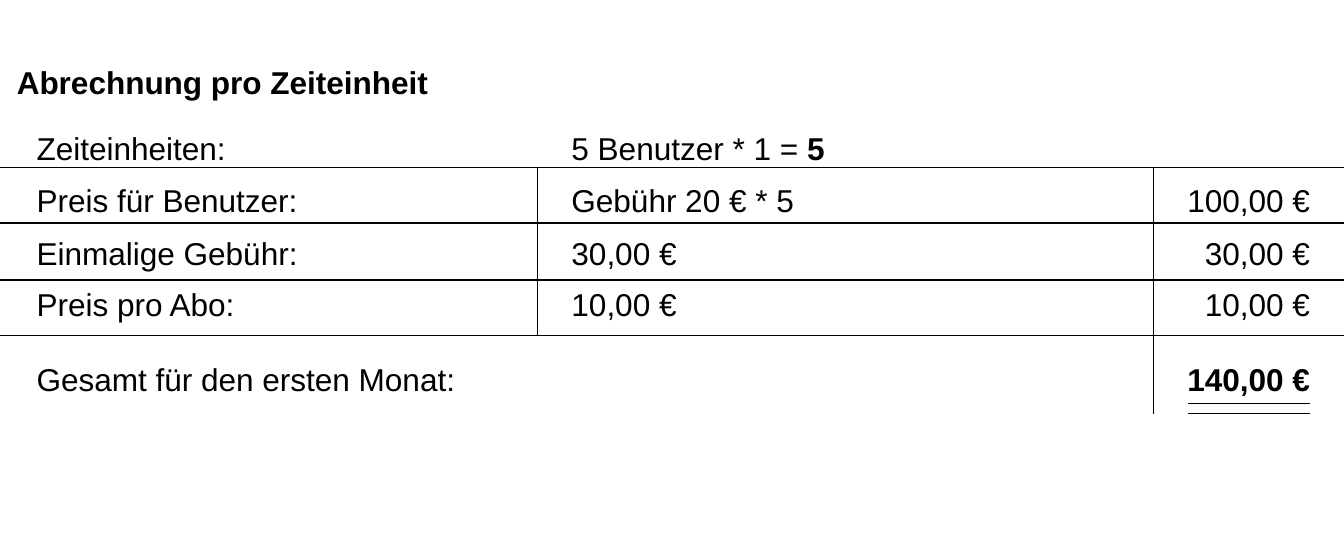
import pptx
import pptx.dml.color
import pptx.enum.shapes
import pptx.enum.text
import pptx.util
from lxml import etree

Inches = pptx.util.Inches
ALIGN = pptx.enum.text.PP_ALIGN
SLIDE_WIDTH, SLIDE_HEIGHT = 9.45, 3.94


def color(hex_value):
    return pptx.dml.color.RGBColor.from_string(hex_value)


class Invoice:
    """Holds the style and the slide that is being filled."""
    font, size, ink = "Arial", pptx.util.Pt(16), "000000"
    line_width = pptx.util.Pt(0.75)

    def __init__(self, slide):
        self.slide = slide

    def text(self, left, top, width, height, runs, align=ALIGN.LEFT, bold=False):
        """Add one line of text; runs are (text, bold) pairs or a plain string."""
        box = self.slide.shapes.add_textbox(
            Inches(left), Inches(top), Inches(width), Inches(height))
        frame = box.text_frame
        frame.word_wrap = True
        frame.vertical_anchor = pptx.enum.text.MSO_ANCHOR.BOTTOM
        paragraph = frame.paragraphs[0]
        paragraph.alignment = align
        font = paragraph.font
        font.name, font.size, font.bold = self.font, self.size, bold
        font.color.rgb = color(self.ink)
        for words, run_bold in [(runs, bold)] if isinstance(runs, str) else runs:
            run = paragraph.add_run()
            run.text = words
            if run_bold != bold:
                run.font.bold = run_bold

    def line(self, x1, y1, x2, y2):
        rule = self.slide.shapes.add_connector(
            pptx.enum.shapes.MSO_CONNECTOR.STRAIGHT,
            Inches(x1), Inches(y1), Inches(x2), Inches(y2))
        rule.line.width = self.line_width
        rule.line.color.rgb = color(self.ink)
        etree.SubElement(rule._element.spPr, pptx.oxml.ns.qn("a:effectLst"))


def main():
    deck = pptx.Presentation()
    deck.slide_width, deck.slide_height = Inches(SLIDE_WIDTH), Inches(SLIDE_HEIGHT)
    invoice = Invoice(deck.slides.add_slide(deck.slide_layouts[6]))

    # Heading
    invoice.text(0.02, 0.31, 3.76, 0.45, "Abrechnung pro Zeiteinheit", bold=True)

    # Rows: top, height, label, calculation, amount
    rows = [
        (0.77, 0.45, "Zeiteinheiten:", [("5 Benutzer * 1 = ", False), ("5", True)], None),
        (1.22, 0.37, "Preis für Benutzer:", "Gebühr 20 € * 5", "100,00 €"),
        (1.59, 0.37, "Einmalige Gebühr:", "30,00 €", "30,00 €"),
        (1.95, 0.37, "Preis pro Abo:", "10,00 €", "10,00 €"),
        (2.4, 0.45, "Gesamt für den ersten Monat:", None, "140,00 €"),
    ]
    for top, height, label, calculation, amount in rows:
        invoice.text(0.16, top, 3.76, height, label)
        if calculation:
            invoice.text(3.92, top, 3.96, height, calculation)
        if amount:
            is_total = calculation is None
            invoice.text(7.88, top, 1.43, height, amount, ALIGN.RIGHT, is_total)

    # Row rules
    grid_top, grid_bottom, row_count = 1.18, 2.36, 3
    for i in range(row_count + 1):
        y = round(grid_top + i * (grid_bottom - grid_top) / row_count, 2)
        invoice.line(0, y, SLIDE_WIDTH, y)

    # Column rules
    for x, bottom in [(3.78, grid_bottom), (8.11, 2.91)]:
        invoice.line(x, grid_top, x, bottom)

    # Double underline of the total
    for y in (2.84, 2.91):
        invoice.line(8.35, y, 9.21, y)

    deck.save("out.pptx")


if __name__ == "__main__":
    main()
